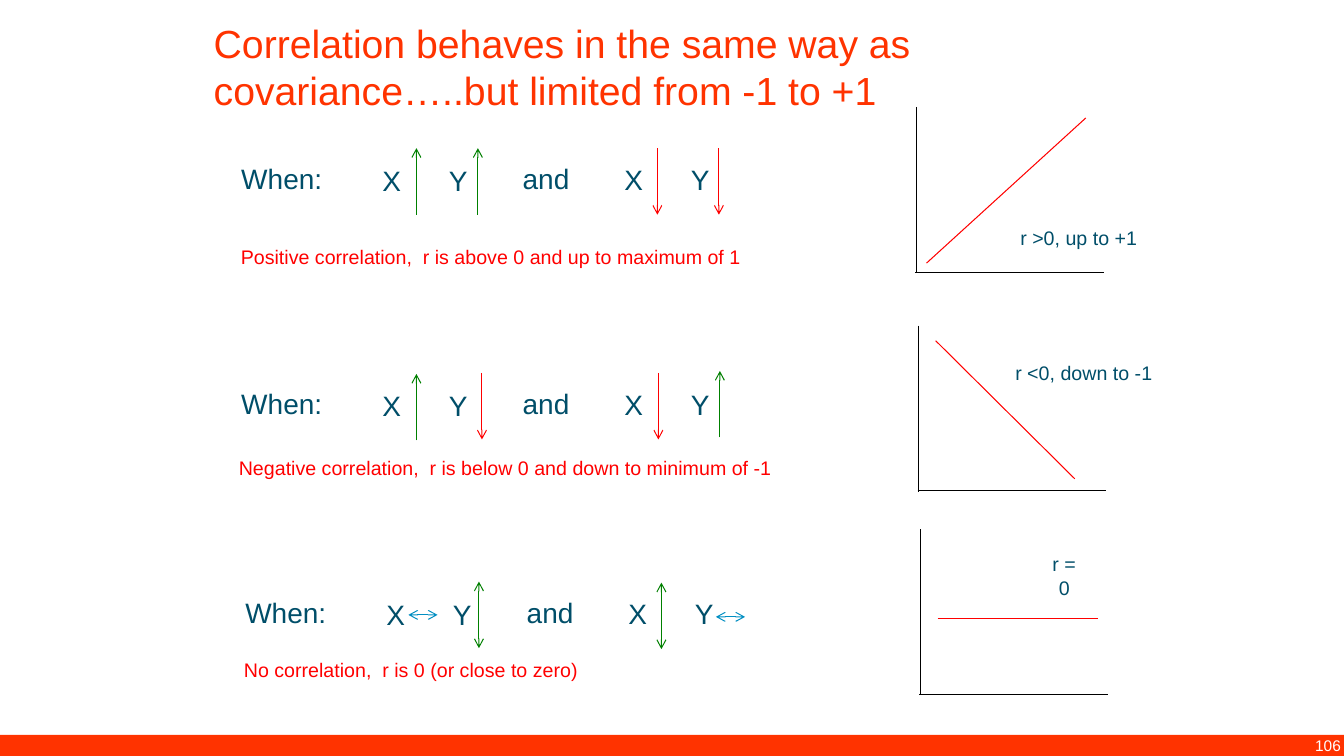
"""Build a slide on how the correlation coefficient r follows the moves of X and Y."""
from dataclasses import dataclass
from enum import Enum

from pptx import Presentation
from pptx.dml.color import RGBColor
from pptx.enum.shapes import MSO_CONNECTOR as Connector, MSO_SHAPE as Preset
from pptx.enum.text import MSO_AUTO_SIZE as AutoSize, PP_ALIGN as Align
from pptx.oxml.ns import qn
from pptx.shapes.connector import Connector as Line
from pptx.slide import Slide
from pptx.text.text import TextFrame
from pptx.util import Inches, Pt

ORANGE = RGBColor(0xFF, 0x33, 0x00)
WHITE = RGBColor(0xFF, 0xFF, 0xFF)
BLACK = RGBColor(0x00, 0x00, 0x00)
RED = RGBColor(0xFF, 0x00, 0x00)
GREEN = RGBColor(0x00, 0x80, 0x00)
BLUE = RGBColor(0x00, 0x8E, 0xC2)
TEAL = RGBColor(0x00, 0x4E, 0x69)

Point = tuple[float, float]
Box = tuple[float, float, float, float]


@dataclass(frozen=True)
class Style:
    size: float
    color: RGBColor
    align: Align = Align.LEFT
    wrap: bool = True
    auto_size: AutoSize = AutoSize.SHAPE_TO_FIT_TEXT


TITLE = Style(28, ORANGE, auto_size=AutoSize.NONE)
PAGE_NUMBER = Style(11, WHITE, Align.RIGHT, auto_size=AutoSize.NONE)
WORD = Style(20, TEAL, Align.CENTER)
CAPTION = Style(14, RED, wrap=False)
PLOT_LABEL = Style(14, TEAL, Align.CENTER, wrap=False)


@dataclass(frozen=True)
class Move:
    start: Point
    end: Point
    color: RGBColor
    ends: tuple[str, ...]


class Direction(Enum):
    UP = Move((0, 0.66), (0, 0), GREEN, ("tailEnd",))
    DOWN = Move((0, 0), (0, 0.66), RED, ("tailEnd",))
    EITHER = Move((0, 0.66), (0, 0), GREEN, ("headEnd", "tailEnd"))
    LEVEL = Move((0, 0), (0.29, 0), BLUE, ("headEnd", "tailEnd"))


@dataclass(frozen=True)
class Arrow:
    direction: Direction
    left: float
    top: float


@dataclass(frozen=True)
class Case:
    left: float
    top: float
    arrows: tuple[Arrow, ...]
    caption: str
    caption_box: Box
    origin: Point
    trend: tuple[Point, Point]
    label: str
    label_box: Box


@dataclass(frozen=True)
class Word:
    text: str
    left: float
    drop: float
    width: float


WORDS = (
    Word("When:", 0, 0, 1.07),
    Word("X", 1.32, 0.02, 0.61),
    Word("Y", 1.98, 0.02, 0.61),
    Word("and ", 2.78, 0, 0.83),
    Word("X", 3.72, 0.01, 0.61),
    Word("Y", 4.38, 0.01, 0.61),
)

CASES = (
    Case(2.26, 1.55,
         (Arrow(Direction.UP, 4.13, 1.47), Arrow(Direction.UP, 4.74, 1.47),
          Arrow(Direction.DOWN, 6.52, 1.47), Arrow(Direction.DOWN, 7.13, 1.47)),
         "Positive correlation,  r is above 0 and up to maximum of 1", (2.29, 2.38, 5.23, 0.34),
         (9.09, 2.7), ((9.19, 2.61), (10.77, 1.17)),
         "r >0, up to +1", (10.02, 2.19, 1.36, 0.34)),
    Case(2.26, 3.79,
         (Arrow(Direction.UP, 4.13, 3.71), Arrow(Direction.DOWN, 4.78, 3.7),
          Arrow(Direction.DOWN, 6.53, 3.7), Arrow(Direction.UP, 7.14, 3.68)),
         "Negative correlation,  r is below 0 and down to minimum of -1", (2.27, 4.47, 5.55, 0.34),
         (9.11, 4.87), ((9.28, 3.38), (10.66, 4.75)),
         "r <0, down to -1", (9.97, 3.53, 1.56, 0.34)),
    Case(2.3, 5.86,
         (Arrow(Direction.LEVEL, 4.05, 6.1), Arrow(Direction.EITHER, 4.75, 5.77),
          Arrow(Direction.EITHER, 6.56, 5.78), Arrow(Direction.LEVEL, 7.1, 6.12)),
         "No correlation,  r is 0 (or close to zero)", (2.32, 6.48, 3.62, 0.34),
         (9.13, 6.89), ((9.3, 6.14), (10.89, 6.14)),
         "r = 0", (10.26, 5.43, 0.59, 0.34)),
)


def add_text(slide: Slide, text: str, box: Box, style: Style) -> TextFrame:
    frame = slide.shapes.add_textbox(*map(Inches, box)).text_frame
    frame.word_wrap = style.wrap
    frame.auto_size = style.auto_size
    paragraph = frame.paragraphs[0]
    paragraph.alignment = style.align
    run = paragraph.add_run()
    run.text = text
    formats = {"name": "Arial", "size": Pt(style.size)}
    for attribute, value in formats.items():
        setattr(run.font, attribute, value)
    run.font.color.rgb = style.color
    return frame


def add_line(slide: Slide, start: Point, end: Point, color: RGBColor) -> Line:
    line = slide.shapes.add_connector(Connector.STRAIGHT, *map(Inches, (*start, *end)))
    line.line.color.rgb = color
    line.line.width = Pt(0.75)
    properties = line._element.spPr
    properties.append(properties.makeelement(qn("a:effectLst"), {}))
    return line


def add_arrow(slide: Slide, arrow: Arrow) -> None:
    move = arrow.direction.value
    start, end = ((arrow.left + dx, arrow.top + dy) for dx, dy in (move.start, move.end))
    outline = add_line(slide, start, end, move.color)._element.spPr.find(qn("a:ln"))
    for tip in move.ends:
        outline.append(outline.makeelement(qn(f"a:{tip}"), {"type": "arrow"}))


def add_case(slide: Slide, case: Case) -> None:
    for word in WORDS:
        box = (case.left + word.left, case.top + word.drop, word.width, 0.44)
        add_text(slide, word.text, box, WORD)
    for arrow in case.arrows:
        add_arrow(slide, arrow)
    add_text(slide, case.caption, case.caption_box, CAPTION)
    x, y = case.origin
    add_line(slide, (x, y - 1.64), (x, y + 0.01), BLACK)
    add_line(slide, (x - 0.01, y), (x + 1.86, y), BLACK)
    add_line(slide, *case.trend, RED)
    add_text(slide, case.label, case.label_box, PLOT_LABEL)


def add_footer(slide: Slide) -> None:
    band = slide.shapes.add_shape(Preset.RECTANGLE, *map(Inches, (0, 7.29, 13.33, 0.21)))
    band.shadow.inherit = False
    band.fill.solid()
    band.fill.fore_color.rgb = ORANGE
    band.line.fill.background()
    number = add_text(slide, "106", (12.06, 7.25, 1.27, 0.25), PAGE_NUMBER)
    number.margin_right = Inches(0.03)


def main() -> None:
    deck = Presentation()
    deck.slide_width, deck.slide_height = Inches(13.33), Inches(7.5)
    slide = deck.slides.add_slide(deck.slide_layouts[6])
    add_footer(slide)
    title = add_text(
        slide, "Correlation behaves in the same way as covariance…..but limited from -1 to +1",
        (2.12, 0.19, 8.56, 0.69), TITLE)
    for side in ("left", "top", "right", "bottom"):
        setattr(title, f"margin_{side}", 0)
    for case in CASES:
        add_case(slide, case)
    deck.save("out.pptx")


if __name__ == "__main__":
    main()
